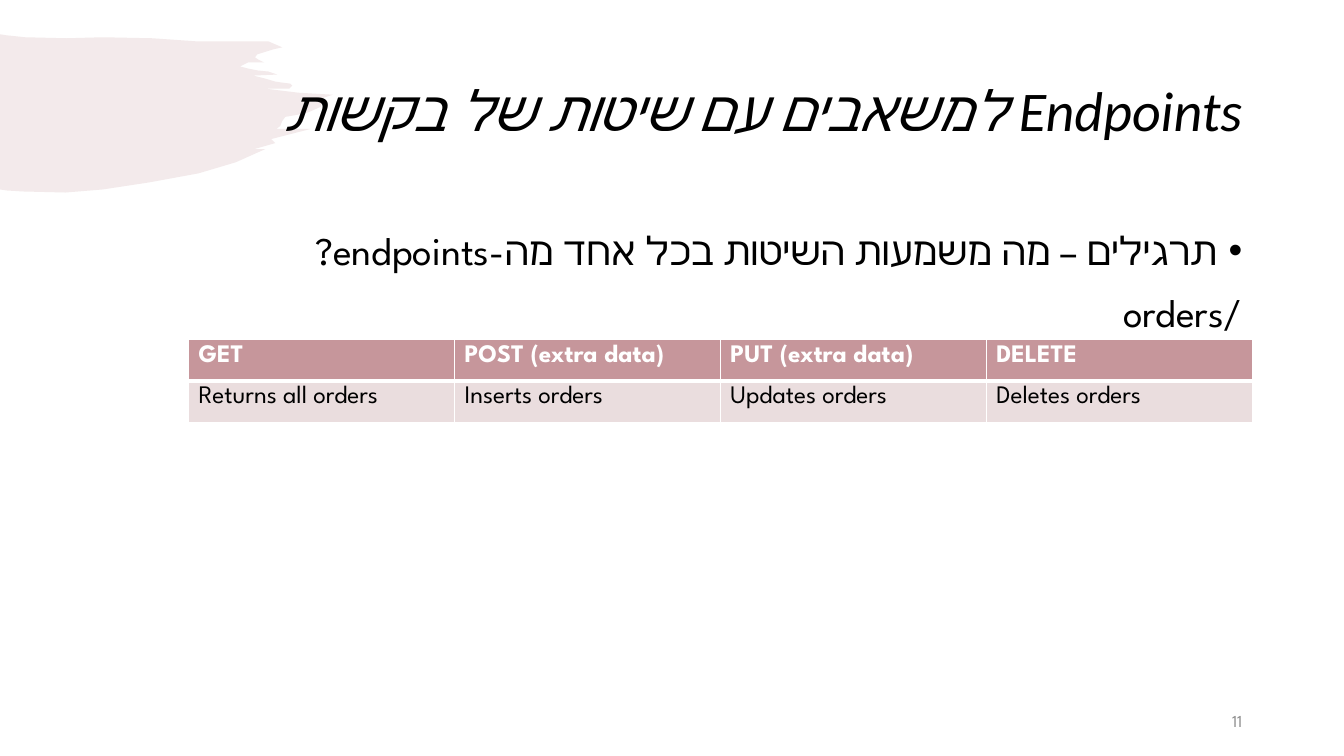
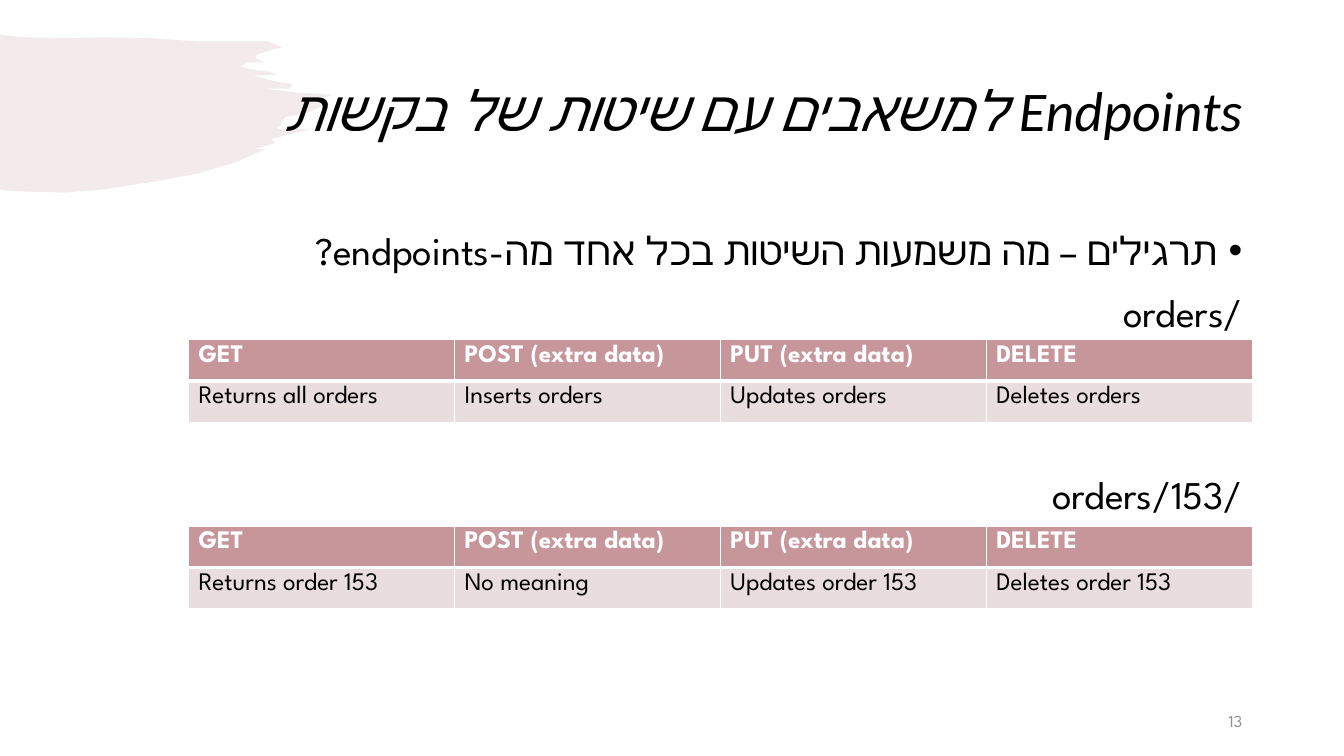
from pptx import Presentation
from pptx.dml.color import RGBColor
from pptx.enum.text import MSO_ANCHOR, PP_ALIGN
from pptx.oxml.ns import qn
from pptx.util import Inches, Pt
from lxml.etree import SubElement

WHITE = RGBColor(0xFF, 0xFF, 0xFF)
BLACK = RGBColor(0x00, 0x00, 0x00)
GREY = RGBColor(0x8C, 0x8C, 0x8C)
ROSE = RGBColor(0xC6, 0x96, 0x9B)
PALE_ROSE = RGBColor(0xEA, 0xDD, 0xDE)

SLIDE_W, SLIDE_H = 13.33, 7.5
MARGIN, CONTENT_W = 0.92, 11.5
RIGHT = MARGIN + CONTENT_W
NUMBER_W = 3
TABLE_W, ROW_H = 10.55, 0.41
TABLE_TOP, TABLE_STEP = 3.37, 1.85
INDENT = Inches(0.25)
LABEL_GAPS = (10, 97)

BODY_FONT = "League Spartan"
TITLE = {"name": "Calibri", "size": Pt(40), "italic": True}
BODY = {"name": BODY_FONT, "size": Pt(28)}
NUMBER = {"name": BODY_FONT, "size": Pt(12)}
HEADER = {"name": BODY_FONT, "size": Pt(18), "bold": True}
CELL = {"name": BODY_FONT, "size": Pt(18), "bold": False}

TITLE_TEXT = "Endpoints למשאבים עם שיטות של בקשות"
QUESTION = "תרגילים – מה משמעות השיטות בכל אחד מה-endpoints?"
METHODS = ("GET", "POST (extra data)", "PUT (extra data)", "DELETE")
ENDPOINTS = (
    ("/orders", ("Returns all orders", "Inserts orders",
                 "Updates orders", "Deletes orders")),
    ("/orders/153", ("Returns order 153", "No meaning",
                     "Updates order 153", "Deletes order 153")),
)

# Outline of the brush stroke, in hundredths of an inch
BRUSH = (
    (0, 34), (6, 35), (25, 37), (66, 38), (102, 37), (151, 38), (194, 41),
    (248, 41), (266, 41), (280, 47), (271, 49), (255, 54), (253, 57),
    (256, 59), (262, 62), (246, 62), (238, 66), (246, 68), (256, 70),
    (266, 71), (275, 74), (251, 75), (263, 78), (273, 81), (280, 82),
    (288, 83), (290, 85), (287, 88), (284, 88), (263, 88), (296, 92),
    (330, 94), (321, 97), (318, 106), (307, 111), (300, 113), (283, 116),
    (280, 120), (278, 125), (274, 128), (308, 128), (269, 138), (273, 142),
    (252, 148), (263, 148), (234, 161), (197, 172), (148, 181), (102, 188),
    (65, 191), (23, 190), (7, 189), (0, 188),
)


def add_brush(s):
    builder = s.shapes.build_freeform(*BRUSH[0], scale=Inches(0.01))
    builder.add_line_segments(BRUSH[1:], close=True)
    sp = builder.convert_to_shape()
    sp.shadow.inherit = False
    sp.line.fill.background()
    sp.fill.solid()
    sp.fill.fore_color.rgb = ROSE
    color = sp.fill._xPr.find(qn("a:solidFill"))[0]
    SubElement(color, qn("a:alpha"), val="20000")


def add_run(p, text, style, color):
    r = p.add_run()
    r.text = text
    for name, value in style.items():
        setattr(r.font, name, value)
    r.font.color.rgb = color
    SubElement(r._r.get_or_add_rPr(), qn("a:cs"), typeface=style["name"])


def add_text_box(s, x, y, w, h, anchor=MSO_ANCHOR.MIDDLE):
    tf = s.shapes.add_textbox(*map(Inches, (x, y, w, h))).text_frame
    tf.word_wrap = True
    tf.vertical_anchor = anchor
    return tf


def set_rtl(p, bullet=False):
    """Make a right-to-left paragraph, with a hanging bullet if asked."""
    p.alignment = PP_ALIGN.RIGHT
    pPr = p._p.get_or_add_pPr()
    pPr.set("rtl", "1")
    if bullet:
        pPr.set("marL", str(INDENT))
        pPr.set("indent", str(-INDENT))
        SubElement(pPr, qn("a:buFont"), typeface="Arial")
        SubElement(pPr, qn("a:buChar"), char="•")


def add_title(s):
    p = add_text_box(s, MARGIN, 0.4, CONTENT_W, 1.45).paragraphs[0]
    p.line_spacing = 0.9
    set_rtl(p)
    add_run(p, TITLE_TEXT, TITLE, BLACK)


def add_body(s, labels):
    tf = add_text_box(s, MARGIN, 2.2, CONTENT_W, 4.55, MSO_ANCHOR.TOP)
    p = tf.paragraphs[0]
    p.space_before = Pt(10)
    set_rtl(p, bullet=True)
    add_run(p, QUESTION, BODY, BLACK)
    for label, gap in zip(labels, LABEL_GAPS):
        p = tf.add_paragraph()
        p.space_before = Pt(gap)
        set_rtl(p)
        add_run(p, label, BODY, BLACK)


def add_page_number(s, number):
    p = add_text_box(s, RIGHT - NUMBER_W, 6.95, NUMBER_W, 0.4).paragraphs[0]
    p.alignment = PP_ALIGN.RIGHT
    add_run(p, str(number), NUMBER, GREY)


def set_borders(cell, top, bottom):
    tcPr = cell._tc.get_or_add_tcPr()
    for side, width in (("L", 1), ("R", 1), ("T", top), ("B", bottom)):
        ln = SubElement(tcPr, qn(f"a:ln{side}"), w=str(Pt(width)))
        fill = SubElement(ln, qn("a:solidFill"))
        SubElement(fill, qn("a:srgbClr"), val=str(WHITE))


def add_method_table(s, top, meanings):
    rows = (
        (METHODS, HEADER, WHITE, ROSE, (1, 3)),
        (meanings, CELL, BLACK, PALE_ROSE, (3, 1)),
    )
    box = (RIGHT - TABLE_W, top, TABLE_W, ROW_H * len(rows))
    table = s.shapes.add_table(len(rows), len(METHODS),
                               *map(Inches, box)).table
    for i, (texts, style, color, fill, borders) in enumerate(rows):
        for j, text in enumerate(texts):
            cell = table.cell(i, j)
            set_borders(cell, *borders)
            cell.fill.solid()
            cell.fill.fore_color.rgb = fill
            add_run(cell.text_frame.paragraphs[0], text, style, color)


def add_endpoint_slide(prs, number, endpoints):
    s = prs.slides.add_slide(prs.slide_layouts[6])
    add_brush(s)
    add_title(s)
    add_body(s, [label for label, _ in endpoints])
    add_page_number(s, number)
    for i, (_, meanings) in enumerate(endpoints):
        add_method_table(s, TABLE_TOP + i * TABLE_STEP, meanings)


def main():
    prs = Presentation()
    prs.slide_width, prs.slide_height = Inches(SLIDE_W), Inches(SLIDE_H)
    add_endpoint_slide(prs, 11, ENDPOINTS[:1])
    add_endpoint_slide(prs, 13, ENDPOINTS)
    prs.save("out.pptx")


if __name__ == "__main__":
    main()
